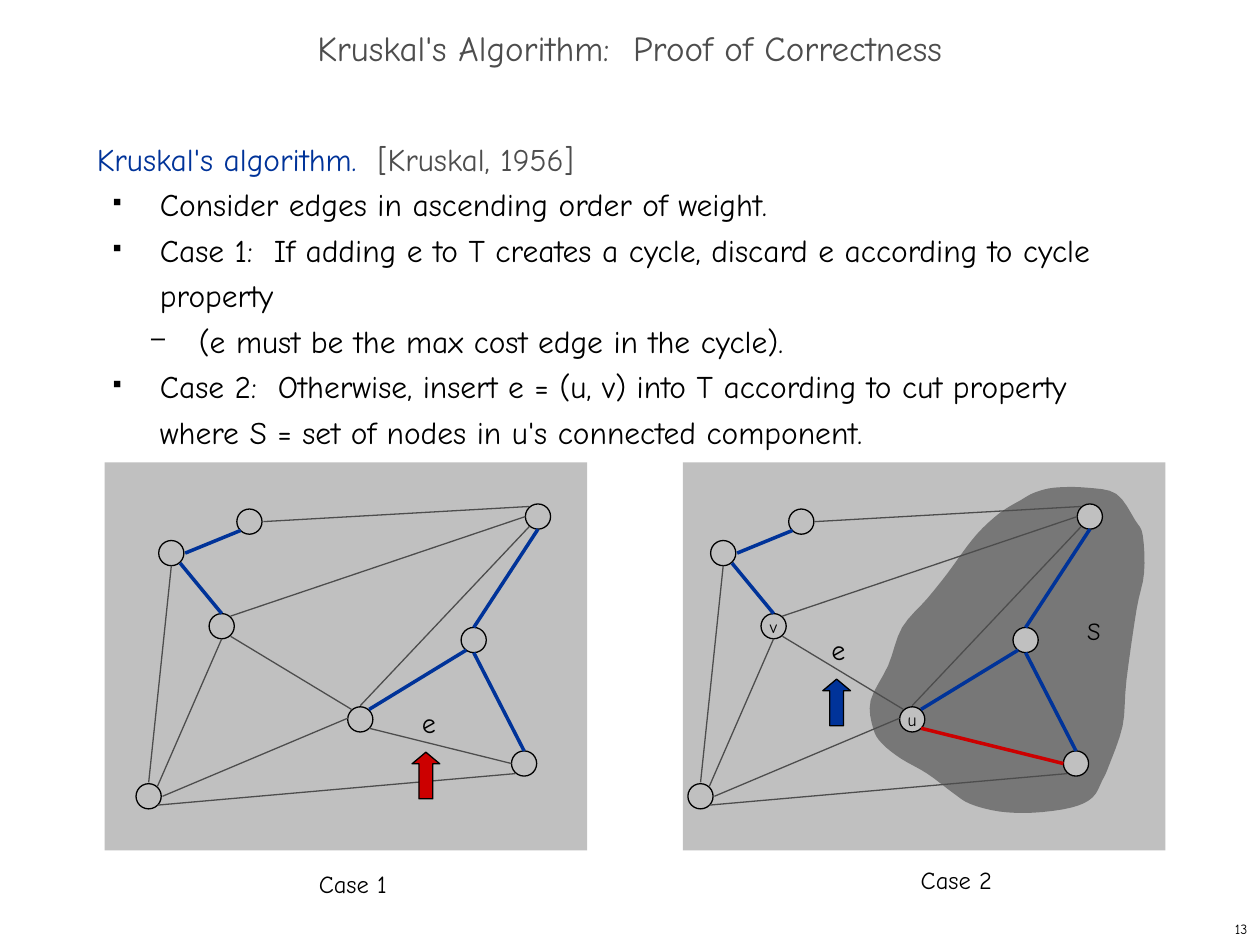
"""Build a slide on the correctness proof of Kruskal's algorithm."""
from lxml import etree
from pptx import Presentation, util as u
from pptx.dml.color import RGBColor
from pptx.enum import shapes, text
from pptx.oxml import ns

COLORS = {"black": "000000", "gray": "4D4D4D", "blue": "003399", "red": "CC0000",
          "panel": "C0C0C0", "region": "777777"}
FONT = "Comic Neue"
CASE_SHIFT = 4.38


def write(frame, *spans, new=False, size=14, color="black", align="CENTER",
          anchor="MIDDLE", wrap=False, spacing=None, level=0, margin=0, indent=0,
          bullet=None, bullet_size=100):
    frame.word_wrap = wrap
    frame.auto_size = text.MSO_AUTO_SIZE.NONE
    frame.vertical_anchor = getattr(text.MSO_ANCHOR, anchor)
    para = frame.add_paragraph() if new else frame.paragraphs[0]
    para.level = level
    properties = para._p.get_or_add_pPr()
    if margin:
        properties.set("marL", str(u.Inches(margin)))
        properties.set("indent", str(u.Inches(indent)))
    if bullet:
        fill = etree.SubElement(properties, ns.qn("a:buClr"))
        etree.SubElement(fill, ns.qn("a:srgbClr"), val=COLORS["black"])
        etree.SubElement(properties, ns.qn("a:buSzPct"), val=str(bullet_size * 1000))
        etree.SubElement(properties, ns.qn("a:buChar"), char=bullet)
    para.alignment = getattr(text.PP_ALIGN, align)
    para.space_before = u.Pt(0)
    if spacing:
        para.line_spacing = spacing
    for words, span_color in [(span, color) if isinstance(span, str) else span for span in spans]:
        span = para.add_run()
        span.text = words
        span.font.name = FONT
        span.font.size = u.Pt(size)
        span.font.color.rgb = RGBColor.from_string(COLORS[span_color])


def style(shape, fill, outlined=True):
    shape.shadow.inherit = False
    shape.fill.solid()
    shape.fill.fore_color.rgb = RGBColor.from_string(COLORS[fill])
    if outlined:
        shape.line.color.rgb = RGBColor.from_string(COLORS["black"])
        shape.line.width = u.Pt(0.75)
    else:
        shape.line.fill.background()


deck = Presentation()
deck.slide_width, deck.slide_height = u.Inches(10), u.Inches(7.5)
page = deck.slides.add_slide(deck.slide_layouts[5])

title = page.shapes.title
title.left, title.top, title.width, title.height = map(u.Inches, (0, 0.17, 10, 0.5))
write(title.text_frame, "Kruskal's Algorithm:  Proof of Correctness", size=20,
      color="gray", wrap=True, spacing=0.7)

for left in (0.83, 5.42):
    panel = page.shapes.add_shape(shapes.MSO_SHAPE.RECTANGLE, *map(u.Inches, (left, 3.67, 3.83, 3.08)))
    style(panel, "panel", outlined=False)

body = page.shapes.add_textbox(*map(u.Inches, (0.67, 1, 8.58, 5.92))).text_frame
body_format = dict(size=18, align="LEFT", anchor="TOP", wrap=True, spacing=u.Pt(26))
square = dict(level=1, margin=0.5, indent=-0.37, bullet="■", bullet_size=35)
dash = dict(level=2, margin=0.81, indent=-0.38, bullet="–", bullet_size=80)
write(body, ("Kruskal's algorithm.  ", "blue"), ("[Kruskal, 1956]", "gray"),
      margin=0.38, indent=-0.38, **body_format)
for words, bullet_format in [
    ("Consider edges in ascending order of weight.", square),
    ("Case 1:  If adding e to T creates a cycle, discard e according to cycle property", square),
    ("(e must be the max cost edge in the cycle).", dash),
    ("Case 2:  Otherwise, insert e = (u, v) into T according to cut property "
     "where S = set of nodes in u's connected component.", square),
]:
    write(body, words, new=True, **body_format, **bullet_format)

region_anchors = [
    (7.05, 5.28), (7.16, 4.98), (7.36, 4.75), (7.52, 4.55), (7.68, 4.33), (7.8, 4.19),
    (7.95, 4.06), (8.1, 3.97), (8.21, 3.91), (8.37, 3.87), (8.62, 3.87), (8.86, 3.92),
    (9.01, 4.13), (9.07, 4.25), (9.08, 4.55), (9.02, 4.84), (8.94, 5.4), (8.91, 5.76),
    (8.8, 6.08), (8.75, 6.19), (8.67, 6.33), (8.5, 6.41), (8.2, 6.45), (7.93, 6.44),
    (7.7, 6.38), (7.56, 6.29), (7.36, 6.14), (7.15, 6.02), (7, 5.9), (6.93, 5.78),
    (6.91, 5.56)]
outline = []
for index, start in enumerate(region_anchors):
    before = region_anchors[index - 1]
    end, after = (region_anchors[(index + step) % len(region_anchors)] for step in (1, 2))
    for t in (0, 0.25, 0.5, 0.75):
        outline.append(tuple(
            u.Inches(0.5 * (2 * b + (c - a) * t + (2 * a - 5 * b + 4 * c - d) * t ** 2
                            + (3 * b - a - 3 * c + d) * t ** 3))
            for a, b, c, d in zip(before, start, end, after)))
builder = page.shapes.build_freeform(*outline[0])
builder.add_line_segments(outline[1:], close=True)
style(builder.convert_to_shape(), "region", outlined=False)

nodes = [(1.26, 4.29), (4.17, 4), (4.06, 5.96), (1.88, 4.04),
         (1.66, 4.87), (1.08, 6.22), (3.66, 4.98), (2.76, 5.61)]
tree_edges = [(1.47, 4.39, 1.91, 4.21), (1.43, 4.47, 1.76, 4.87), (3.76, 4.98, 4.27, 4.2),
              (2.93, 5.63, 3.7, 5.16), (3.76, 5.18, 4.16, 5.96)]
other_edges = [(1.36, 4.49, 1.18, 6.21), (1.83, 4.89, 4.17, 4.1), (1.83, 5.05, 2.79, 5.63),
               (4.2, 4.18, 2.86, 5.6), (1.76, 5.07, 1.25, 6.24), (1.29, 6.32, 2.76, 5.7),
               (2.09, 4.14, 4.2, 4.02), (1.25, 6.39, 4.09, 6.14)]
cycle_edge = (2.93, 5.78, 4.06, 6.06)
cases = [(0, {}, ("gray", 0.75)),
         (CASE_SHIFT, {(1.66, 4.87): "v", (2.76, 5.61): "u"}, ("red", 2))]

for shift, node_names, cycle_style in cases:
    for left, top in nodes:
        node = page.shapes.add_shape(
            shapes.MSO_SHAPE.OVAL, *map(u.Inches, (left + shift, top, 0.2, 0.2)))
        style(node, "panel")
        if (left, top) in node_names:
            write(node.text_frame, node_names[left, top], size=10)
    for edges, (color, width) in [(other_edges, ("gray", 0.75)), (tree_edges, ("blue", 2)),
                                  ([cycle_edge], cycle_style)]:
        for x1, y1, x2, y2 in edges:
            edge = page.shapes.add_connector(
                shapes.MSO_CONNECTOR.STRAIGHT,
                *map(u.Inches, (x1 + shift, y1, x2 + shift, y2)))
            edge.line.color.rgb = RGBColor.from_string(COLORS[color])
            edge.line.width = u.Pt(width)
            etree.SubElement(edge._element.spPr, ns.qn("a:effectLst"))

for left, top, color in [(3.27, 5.97, "red"), (6.53, 5.39, "blue")]:
    arrow = page.shapes.add_shape(
        shapes.MSO_SHAPE.UP_ARROW, *map(u.Inches, (left, top, 0.22, 0.37)))
    arrow.adjustments[0], arrow.adjustments[1] = 0.5, 0.42
    style(arrow, color)

edge_label = dict(size=16, align="LEFT", anchor="TOP")
for words, place, label_format in [
    ("Case 1", (1.89, 6.83, 1.82, 0.36), {}),
    ("Case 2", (6.68, 6.8, 1.82, 0.36), {}),
    ("e", (3.25, 5.55, 0.31, 0.37), edge_label),
    ("e", (6.5, 4.97, 0.31, 0.37), edge_label),
    ("S", (8.53, 4.84, 0.31, 0.33), dict(align="LEFT", anchor="TOP")),
    ("13", (7.92, 7.25, 2.08, 0.25), dict(size=8, align="RIGHT")),
]:
    box = page.shapes.add_textbox(*map(u.Inches, place))
    write(box.text_frame, words, **label_format)

deck.save("out.pptx")
